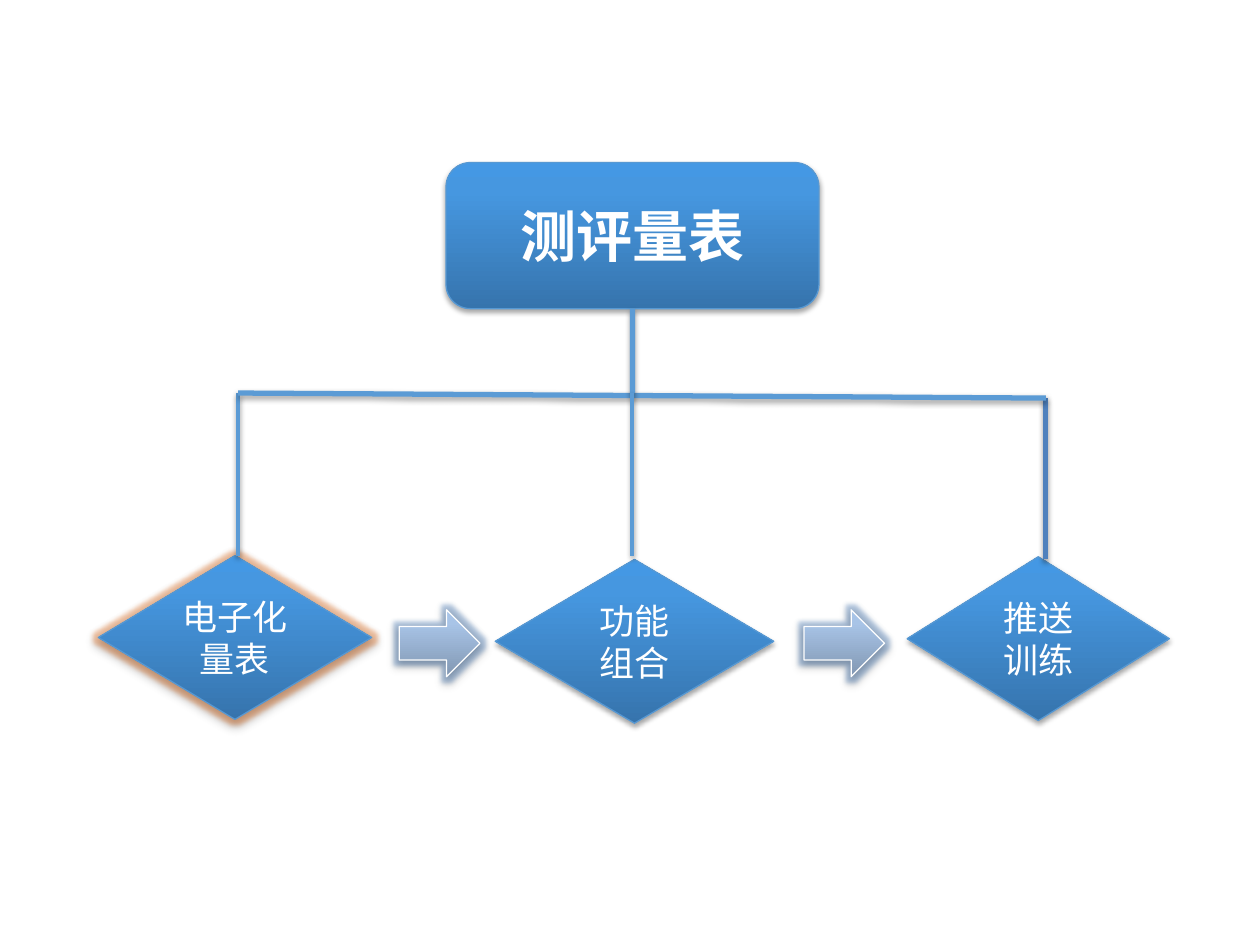
"""Build a slide showing an assessment scale branching into three linked steps."""
from pptx import Presentation, oxml
from pptx import util as u
from pptx.dml.color import RGBColor
from pptx.enum import shapes, text

COLORS = {
    "white": "FFFFFF", "black": "000000", "edge": "5698D3",
    "branch": "5B9BD5", "right_branch": "4F81BD",
    "orange_glow": "ED7D31", "blue_glow": "4F81BD",
}
BLUE = ("3674AD", "4697E0", "4498E4")
PALE = ("8197B2", "A8C4E7", "A8C5E9")
STOPS = (0, 80, 100)
SOFT, STRONG, LINE = (35, 3.1, 1.8), (38, 4, 2), (38, 3.1, 1.6)

ROOT = ("测评量表", (254.9, 92.9, 213.1, 83.5))
STEPS = [
    (("电子化", "量表"), 56.2, 317.5, 156.2, STRONG, "orange_glow"),
    (("功能", "组合"), 283, 319.7, 159.1, SOFT, None),
    (("推送", "训练"), 518.4, 318.2, 149.8, SOFT, None),
]
STEP_HEIGHT = 93.6
ARROW_LEFTS = (228.2, 459.4)
ARROW_TOP, ARROW_SIZE = 348.5, (46.1, 38.2)

LEFT, MIDDLE, RIGHT = 136.1, 361.4, 597.6
BAR_LEFT, BAR_RIGHT = 224.6, 227.5
STEM = (MIDDLE, 176.4, MIDDLE, BAR_LEFT)
BRANCHES = [
    ((LEFT, BAR_LEFT, LEFT, 317.5), "branch", 2.25),
    ((RIGHT, BAR_RIGHT, RIGHT, 319.7), "right_branch", 3),
    ((LEFT, BAR_LEFT, RIGHT, BAR_RIGHT), "branch", 3),
    (STEM, "branch", 3),
    ((MIDDLE, BAR_LEFT, MIDDLE, 317.5), "branch", 2.25),
]
NS = 'xmlns:a="http://schemas.openxmlformats.org/drawingml/2006/main"'


def rgb(name):
    return RGBColor.from_string(COLORS[name])


def color_xml(name, alpha):
    return f'<a:srgbClr val="{COLORS[name]}"><a:alpha val="{alpha * 1000}"/></a:srgbClr>'


def add_effects(shape, shadow, glow=None):
    alpha, blur, distance = shadow
    halo = f'<a:glow rad="{u.Pt(5)}">{color_xml(glow, 40)}</a:glow>' if glow else ""
    shape._element.spPr.append(oxml.parse_xml(
        f'<a:effectLst {NS}>{halo}<a:outerShdw blurRad="{u.Pt(blur)}" '
        f'dist="{u.Pt(distance)}" dir="5400000" rotWithShape="0">'
        f'{color_xml("black", alpha)}</a:outerShdw></a:effectLst>'))


def add_box(page, kind, place, gradient, edge, shadow, glow=None):
    box = page.shapes.add_shape(kind, *map(u.Pt, place))
    stops = "".join(f'<a:gs pos="{stop * 1000}"><a:srgbClr val="{color}"/></a:gs>'
                    for stop, color in zip(STOPS, gradient))
    box._element.spPr.append(oxml.parse_xml(
        f'<a:gradFill {NS} rotWithShape="1"><a:gsLst>{stops}</a:gsLst>'
        '<a:lin ang="16200000" scaled="0"/></a:gradFill>'))
    box.line.color.rgb = rgb(edge)
    box.line.width = u.Pt(0.75)
    add_effects(box, shadow, glow)
    return box


def write(box, lines, size, bold=False):
    frame = box.text_frame
    frame.word_wrap = True
    frame.vertical_anchor = text.MSO_ANCHOR.MIDDLE
    frame.text = "\n".join(lines)
    for para in frame.paragraphs:
        para.alignment = text.PP_ALIGN.CENTER
        font = para.font
        font.name, font.size, font.bold = "Calibri", u.Pt(size), bold
        font.color.rgb = rgb("white")


def add_branch(page, ends, color, width):
    branch = page.shapes.add_connector(shapes.MSO_CONNECTOR.STRAIGHT, *map(u.Pt, ends))
    branch.line.color.rgb = rgb(color)
    branch.line.width = u.Pt(width)
    add_effects(branch, LINE)
    return branch


def main():
    deck = Presentation()
    deck.slide_width, deck.slide_height = u.Pt(720), u.Pt(540)
    page = deck.slides.add_slide(deck.slide_layouts[6])
    kinds = shapes.MSO_SHAPE

    title, place = ROOT
    root = add_box(page, kinds.FLOWCHART_ALTERNATE_PROCESS, place, BLUE, "edge", SOFT)
    write(root, [title], 32, bold=True)

    for lines, left, top, width, shadow, glow in STEPS:
        step = add_box(page, kinds.DIAMOND, (left, top, width, STEP_HEIGHT),
                       BLUE, "edge", shadow, glow)
        write(step, lines, 20)

    for left in ARROW_LEFTS:
        add_box(page, kinds.RIGHT_ARROW, (left, ARROW_TOP, *ARROW_SIZE),
                PALE, "white", STRONG, "blue_glow")

    for ends, color, width in BRANCHES:
        branch = add_branch(page, ends, color, width)
        if ends == STEM:
            branch.begin_connect(root, 2)

    deck.save("out.pptx")


if __name__ == "__main__":
    main()
